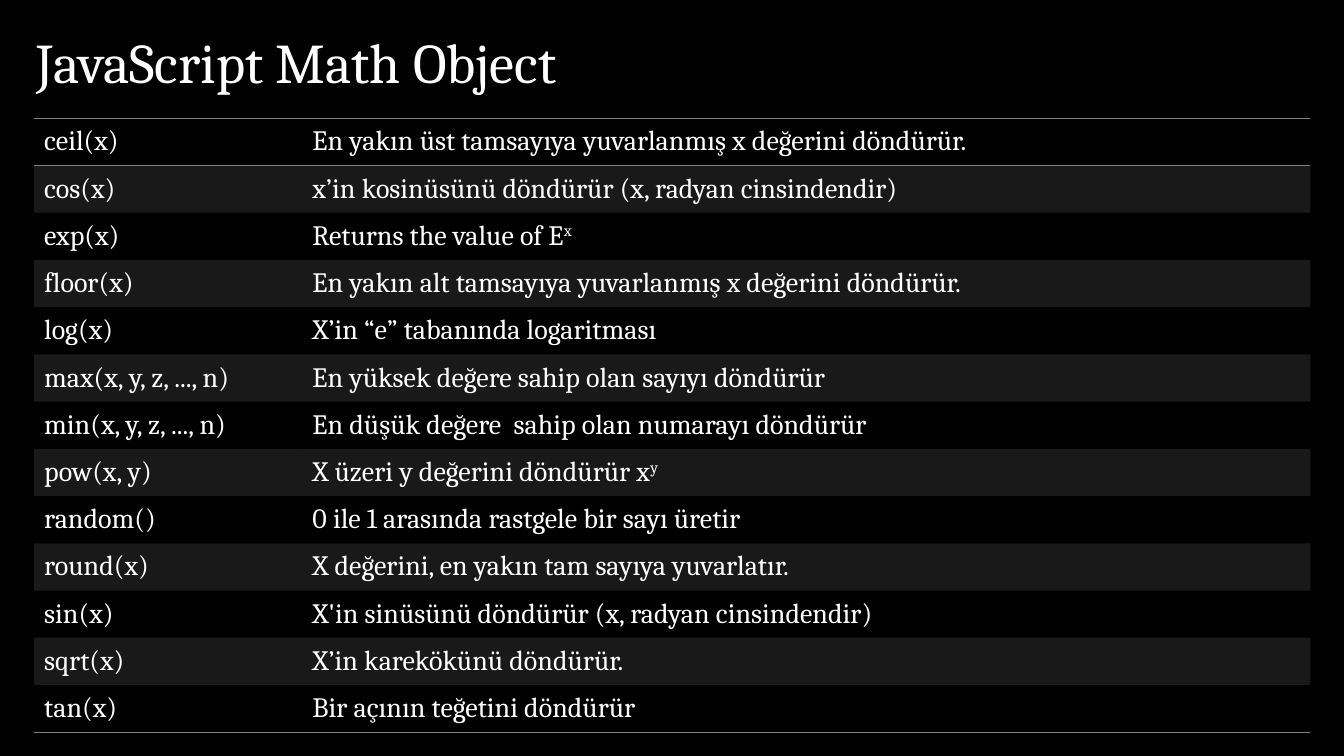
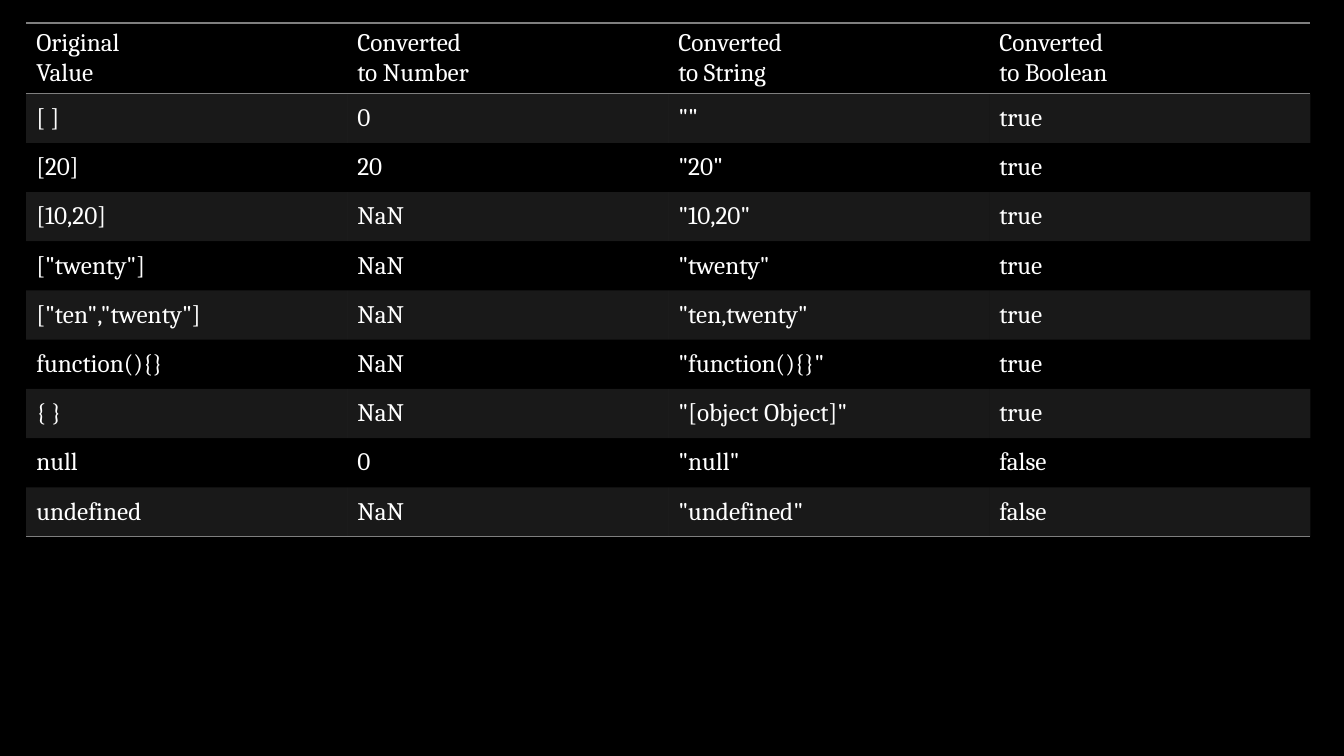
from pptx import Presentation
from pptx.dml.color import RGBColor
from pptx.enum.text import MSO_ANCHOR
from pptx.oxml.ns import qn
from pptx.util import Cm, Pt
from lxml import etree

MIDDLE = MSO_ANCHOR.MIDDLE
BOTTOM = MSO_ANCHOR.BOTTOM

FONT = "Cambria"
BLACK = "000000"
WHITE = "FFFFFF"
GREY = "7F7F7F"
BAND = 20  # opacity of striped rows, per cent
NO_STYLE = "{2D5ABB26-0587-4C30-8999-92F81FD0307C}"

MATH = [
    ("ceil(x)", "En yakın üst tamsayıya yuvarlanmış x değerini döndürür."),
    ("cos(x)", "x’in kosinüsünü döndürür (x, radyan cinsindendir)"),
    ("exp(x)", "Returns the value of E^x"),
    ("floor(x)", "En yakın alt tamsayıya yuvarlanmış x değerini döndürür."),
    ("log(x)", "X’in “e” tabanında logaritması"),
    ("max(x, y, z, ..., n)", "En yüksek değere sahip olan sayıyı döndürür"),
    ("min(x, y, z, ..., n)", "En düşük değere  sahip olan numarayı döndürür"),
    ("pow(x, y)", "X üzeri y değerini döndürür x^y"),
    ("random()", "0 ile 1 arasında rastgele bir sayı üretir"),
    ("round(x)", "X değerini, en yakın tam sayıya yuvarlatır."),
    ("sin(x)", "X'in sinüsünü döndürür (x, radyan cinsindendir)"),
    ("sqrt(x)", "X’in karekökünü döndürür."),
    ("tan(x)", "Bir açının teğetini döndürür"),
]

TYPES = [
    ("Original\nValue", "Converted\nto Number", "Converted\nto String",
     "Converted\nto Boolean"),
    ("[ ]", "0", '""', "true"),
    ("[20]", "20", '"20"', "true"),
    ("[10,20]", "NaN", '"10,20"', "true"),
    ('["twenty"]', "NaN", '"twenty"', "true"),
    ('["ten","twenty"]', "NaN", '"ten,twenty"', "true"),
    ("function(){}", "NaN", '"function(){}"', "true"),
    ("{ }", "NaN", '"[object Object]"', "true"),
    ("null", "0", '"null"', "false"),
    ("undefined", "NaN", '"undefined"', "false"),
]


def color(code):
    """Turn a hex string into a colour."""
    return RGBColor.from_string(code)


def add_run(para, text, size, raised=False):
    """Add one white run, raised as a superscript if asked."""
    run = para.add_run()
    run.text = text
    font = run.font
    font.name, font.size, font.bold = FONT, Pt(size), False
    font.color.rgb = color(WHITE)
    if raised:
        run._r.get_or_add_rPr().set("baseline", "30000")


def write(para, text, size):
    """Write text run by run; a newline breaks, ^ starts a superscript."""
    for row, line in enumerate(text.split("\n")):
        if row:
            para.add_line_break()
        for part, piece in enumerate(line.split("^")):
            add_run(para, piece, size, raised=part > 0)


def add_slide(deck):
    """Add a blank slide with the black background."""
    slide = deck.slides.add_slide(deck.slide_layouts[6])
    fill = slide.background.fill
    fill.solid()
    fill.fore_color.rgb = color(BLACK)
    return slide


def add_title(slide, text):
    """Add the slide title."""
    box = slide.shapes.add_textbox(Cm(0.66), Cm(0.58), Cm(17.3), Cm(1.93))
    frame = box.text_frame
    frame.word_wrap = True
    frame.vertical_anchor = BOTTOM
    para = frame.paragraphs[0]
    para.line_spacing = 0.8
    write(para, text, 40)


def set_edges(cell, top, bottom):
    """Rule the top and bottom of a cell where asked, and no other side."""
    props = cell._tc.get_or_add_tcPr()
    for side, shown in (("L", False), ("R", False), ("T", top), ("B", bottom)):
        line = etree.SubElement(props, qn("a:ln" + side), w=str(Pt(1)))
        if shown:
            fill = etree.SubElement(line, qn("a:solidFill"))
            etree.SubElement(fill, qn("a:srgbClr"), val=GREY)
        else:
            etree.SubElement(line, qn("a:noFill"))


def set_fill(cell, striped):
    """Give a cell a see-through grey fill, or none."""
    if not striped:
        cell.fill.background()
        return
    cell.fill.solid()
    cell.fill.fore_color.rgb = color(GREY)
    tint = cell._tc.tcPr.find(qn("a:solidFill")).find(qn("a:srgbClr"))
    etree.SubElement(tint, qn("a:alpha"), val=str(BAND * 1000))


def add_grid(slide, data, left, top, widths, heights, size):
    """Add a striped table, ruled around its first row and at its foot."""
    frame = slide.shapes.add_table(
        len(data), len(widths), Cm(left), Cm(top),
        Cm(sum(widths)), Cm(sum(heights)))
    table = frame.table
    table.first_row = table.horz_banding = False
    table._tbl.tblPr.find(qn("a:tableStyleId")).text = NO_STYLE
    for col, width in zip(table.columns, widths):
        col.width = Cm(width)
    for row, height in zip(table.rows, heights):
        row.height = Cm(height)
    last = len(data) - 1
    for r, texts in enumerate(data):
        for c, text in enumerate(texts):
            cell = table.cell(r, c)
            cell.vertical_anchor = MIDDLE
            write(cell.text_frame.paragraphs[0], text, size)
            set_edges(cell, r in (0, 1), r in (0, last))
            set_fill(cell, r % 2 == 1)


def main():
    """Build the deck and save it."""
    deck = Presentation()
    deck.slide_width, deck.slide_height = Cm(33.87), Cm(19.05)

    slide = add_slide(deck)
    add_title(slide, "JavaScript Math Object")
    add_grid(slide, MATH, 0.86, 2.98, [6.76, 25.4], [1.19] * len(MATH), 20)

    slide = add_slide(deck)
    heights = [1.74] + [1.24] * (len(TYPES) - 1)
    add_grid(slide, TYPES, 0.66, 0.58, [8.09] * 4, heights, 18)

    deck.save("out.pptx")


main()
